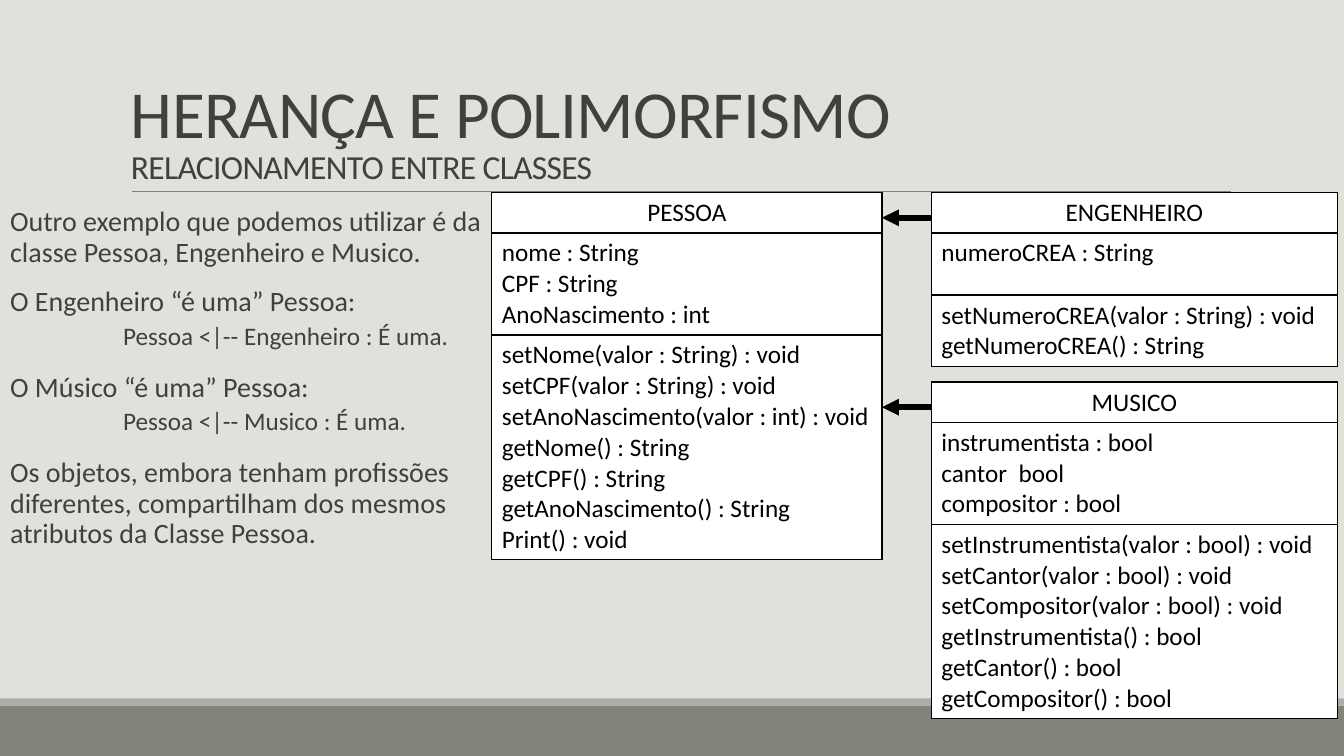
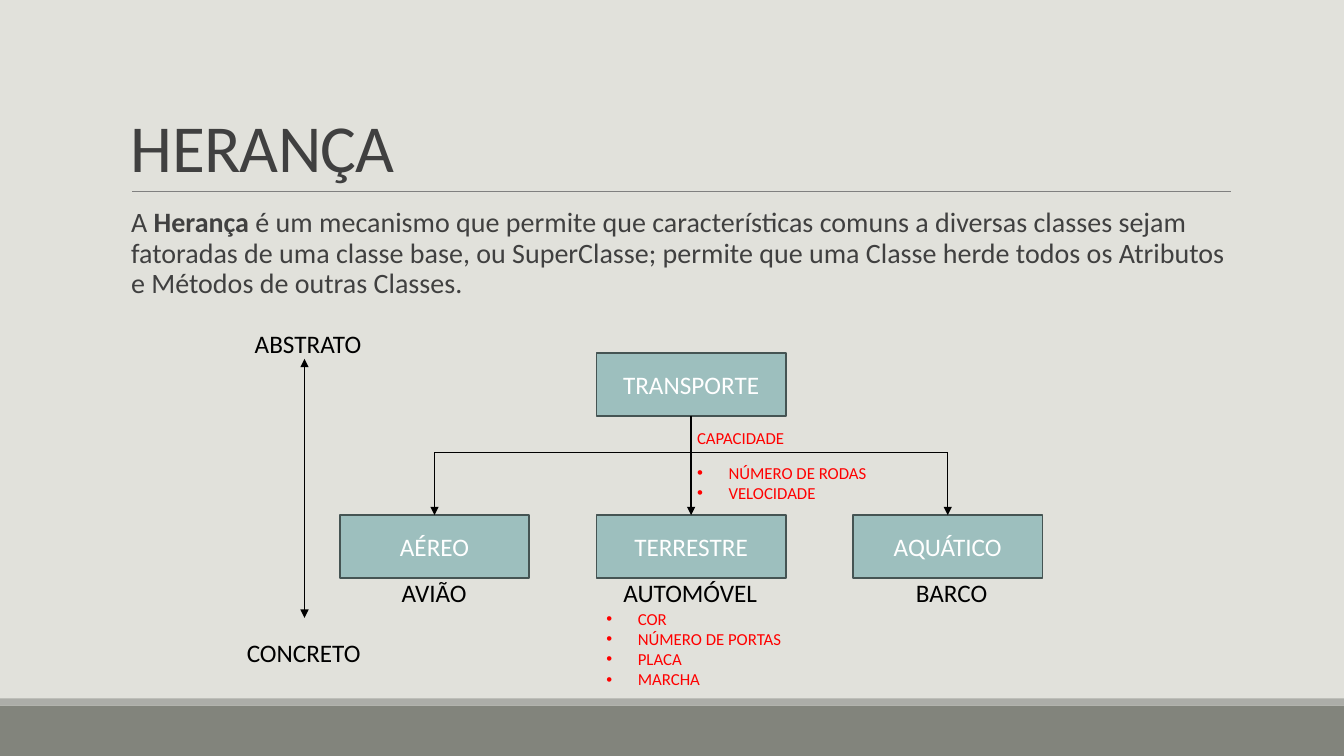
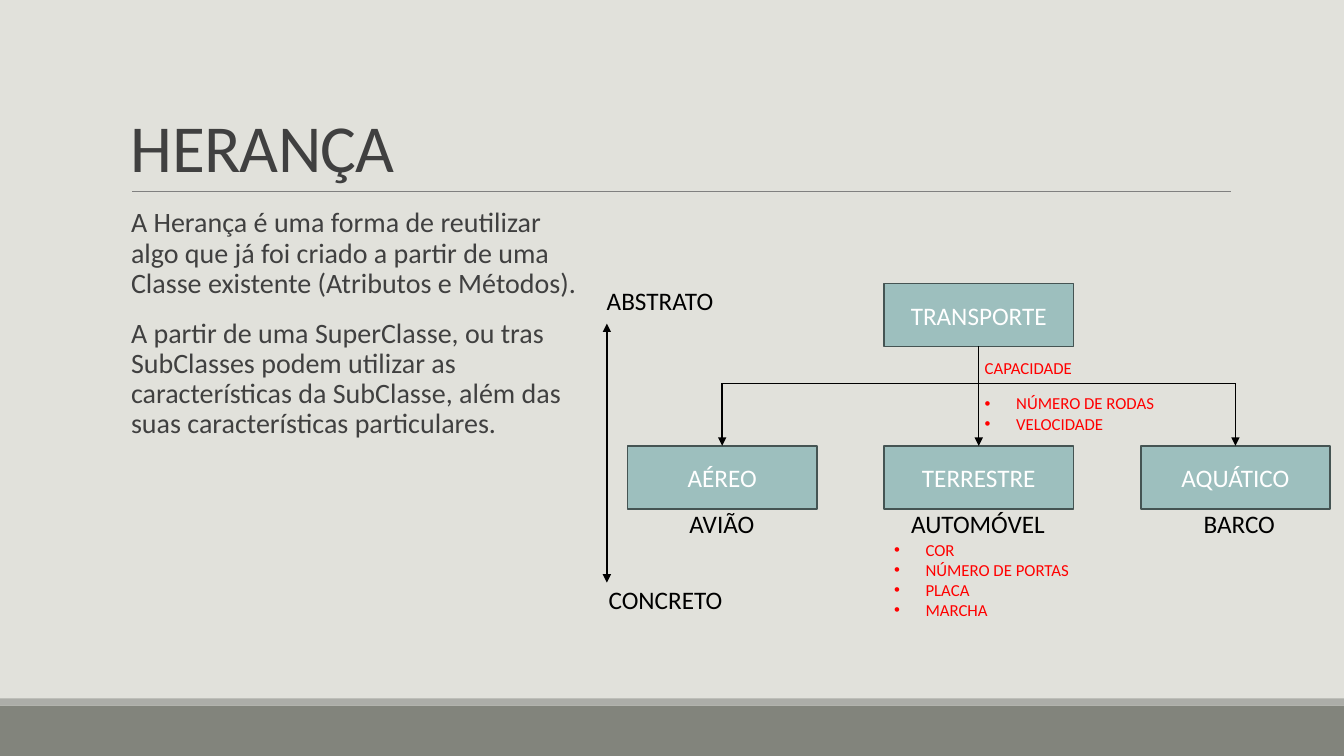
from lxml.etree import SubElement
from pptx import Presentation
from pptx.dml.color import RGBColor
from pptx.enum.shapes import MSO_CONNECTOR, MSO_SHAPE
from pptx.enum.text import MSO_ANCHOR, MSO_AUTO_SIZE, PP_ALIGN
from pptx.oxml.ns import qn
from pptx.util import Inches, Pt

LINE, RECT = MSO_CONNECTOR.STRAIGHT, MSO_SHAPE.RECTANGLE
LEFT, MID = PP_ALIGN.LEFT, PP_ALIGN.CENTER
TOP, CORE, LOW = MSO_ANCHOR.TOP, MSO_ANCHOR.MIDDLE, MSO_ANCHOR.BOTTOM
FIT = MSO_AUTO_SIZE.SHAPE_TO_FIT_TEXT
COLS, ROWS = 64, 36
WIDE, HIGH = Inches(13.333), Inches(7.5)
FONT = "Calibri"
HUES = {
    "page": "E1E1DB", "band": "82847C", "strip": "ACADA8", "rule": "808080",
    "text": "404040", "box": "9DBFBE", "edge": "455453", "ink": "000000",
    "paper": "FFFFFF", "note": "FF0000",
}


def hue(name):
    return RGBColor.from_string(HUES[name])


def across(cols):
    return round(cols * WIDE / COLS)


def down(rows):
    return round(rows * HIGH / ROWS)


def place(*at):
    return [f(n) for f, n in zip((across, down) * 2, at)]


class Deck:
    """Draws class diagrams in one style on a 64 by 36 grid."""

    def __init__(self):
        self.file = Presentation()
        self.file.slide_width, self.file.slide_height = WIDE, HIGH
        fill = self.file.slide_master.background.fill
        fill.solid()
        fill.fore_color.rgb = hue("page")

    def start(self, title, sub=None):
        self.shapes = self.file.slides.add_slide(self.file.slide_layouts[6]).shapes
        self.box(0, 33.6, COLS, 2.4, "band")
        self.box(0, 33.26, COLS, 0.34, "strip")
        self.line(6.29, 9.12, 58.61, 9.12, "rule", 0.5)
        frame = self.frame(5.76, 1.49, 52.8, 7.63, LOW)
        par = self.style(frame.paragraphs[0], 48, "text")
        par.line_spacing = 0.85
        par._p.pPr.find(qn("a:defRPr")).set("spc", "-50")
        par.add_run().text = title
        if sub:
            par.add_line_break()
            run = par.add_run()
            run.text, run.font.size = sub, Pt(24)

    def style(self, par, size, color, align=LEFT):
        par.alignment = align
        font = par.font
        font.name, font.size = FONT, Pt(size)
        font.color.rgb = hue(color)
        return par

    def frame(self, x, y, w, h, anchor=TOP, wrap=True):
        frame = self.shapes.add_textbox(*place(x, y, w, h)).text_frame
        frame.word_wrap, frame.vertical_anchor = wrap, anchor
        return frame

    def fill(self, frame, lines, size, color, align=LEFT, dot=False):
        for i, text in enumerate(lines):
            par = frame.add_paragraph() if i else frame.paragraphs[0]
            par.text = text
            if dot:
                props = par._p.get_or_add_pPr()
                props.set("marL", str(across(1.5)))
                props.set("indent", str(-across(1.5)))
                SubElement(props, qn("a:buFont")).set("typeface", "Arial")
                SubElement(props, qn("a:buChar")).set("char", "•")
            self.style(par, size, color, align)

    def label(self, x, y, w, h, lines, size=18, color="ink", dot=False):
        frame = self.frame(x, y, w, h, wrap=False)
        frame.auto_size = FIT
        self.fill(frame, lines, size, color, dot=dot)

    def body(self, x, y, w, items):
        frame = self.frame(x, y, w, 21.12)
        frame.margin_left = frame.margin_right = 0
        for i, (level, parts) in enumerate(items):
            par = frame.add_paragraph() if i else frame.paragraphs[0]
            size, before, after, pad = ((20, 12, 2, 0.48), (18, 2, 4, 5.86))[level]
            self.style(par, size, "text")
            par.line_spacing = 0.9
            par.space_before, par.space_after = Pt(before), Pt(after)
            par._p.pPr.set("marL", str(across(pad)))
            for j, part in enumerate(parts):
                run = par.add_run()
                run.text = part
                if j % 2:
                    run.font.bold = True

    def box(self, x, y, w, h, color, text=None):
        box = self.shapes.add_shape(RECT, *place(x, y, w, h))
        box.shadow.inherit = False
        box.fill.solid()
        box.fill.fore_color.rgb = hue(color)
        if text is None:
            box.line.fill.background()
        else:
            box.line.color.rgb, box.line.width = hue("edge"), Pt(1.25)
            box.text_frame.vertical_anchor = CORE
            self.fill(box.text_frame, [text], 18, "paper", MID)
        return box

    def line(self, x1, y1, x2, y2, color="ink", width=1, ends=()):
        line = self.shapes.add_connector(LINE, *place(x1, y1, x2, y2))
        line.line.color.rgb, line.line.width = hue(color), Pt(width)
        for end in ends:
            SubElement(line.line._get_or_add_ln(), qn("a:" + end)).set("type", "triangle")
        SubElement(line._element.spPr, qn("a:effectLst"))
        return line

    def table(self, x, y, w, name, fields, calls):
        parts = [name], fields, calls
        highs = [1.92] + [max(2.96, 0.48 + 1.46 * len(p)) for p in parts[1:]]
        table = self.shapes.add_table(3, 1, *place(x, y, w, sum(highs))).table
        table.first_row = table.horz_banding = False
        for i, (lines, high) in enumerate(zip(parts, highs)):
            table.rows[i].height = down(high)
            cell = table.cell(i, 0)
            props = cell._tc.get_or_add_tcPr()
            for side in "LRTB":
                edge = SubElement(props, qn("a:ln" + side), w=str(Pt(1)))
                paint = SubElement(edge, qn("a:solidFill"))
                SubElement(paint, qn("a:srgbClr"), val=HUES["ink"])
            cell.fill.solid()
            cell.fill.fore_color.rgb = hue("paper")
            self.fill(cell.text_frame, lines, 18, "ink", LEFT if i else MID)

    def tree(self, x, y):
        wide, high, step, drop, bus = 9.02, 3, 12.22, 7.73, 4.75
        mid = x + wide / 2
        root = self.box(x, y, wide, high, "box", "TRANSPORTE")
        kids = (("AÉREO", "AVIÃO", 4.08, 0),
                ("TERRESTRE", "AUTOMÓVEL", 7.39, 0),
                ("AQUÁTICO", "BARCO", 4.42, 0.22))
        for i, (name, case, span, shift) in enumerate(kids, -1):
            spot = mid + i * step
            kid = self.box(x + i * step, y + drop, wide, high, "box", name)
            arrow = self.line(spot, y + bus, spot, y + drop, ends=["tailEnd"])
            arrow.end_connect(kid, 0)
            if i == 0:
                arrow.begin_connect(root, 2)
            self.label(spot - span / 2 + shift, y + 10.46, span, 1.92, [case])
        self.line(mid - step, y + bus, mid + step, y + bus)
        self.label(x + 4.32, y + 3.31, 5.18, 1.44, ["CAPACIDADE"], 12, "note")
        self.label(x + 4.32, y + 4.99, 9.12, 2.4,
                   ["NÚMERO DE RODAS", "VELOCIDADE"], 12, "note", True)
        self.label(x, y + 11.95, 9.41, 4.37,
                   ["COR", "NÚMERO DE PORTAS", "PLACA", "MARCHA"], 12, "note", True)

    def axis(self, x, y, first, last):
        self.line(x, y, x, y + 12.33, ends=["headEnd", "tailEnd"])
        self.label(*first, 6.1, 1.92, ["ABSTRATO"])
        self.label(*last, 6.43, 1.92, ["CONCRETO"])


def main():
    deck = Deck()

    deck.start("HERANÇA E POLIMORFISMO", "RELACIONAMENTO ENTRE CLASSES")
    deck.body(0, 9.65, 23.76, [
        (0, ["Outro exemplo que podemos utilizar é da classe Pessoa, Engenheiro e Musico."]),
        (0, ["O Engenheiro “é uma” Pessoa:"]),
        (1, ["Pessoa <|-- Engenheiro : É uma."]),
        (0, ["O Músico “é uma” Pessoa:"]),
        (1, ["Pessoa <|-- Musico : É uma."]),
        (0, ["Os objetos, embora tenham profissões diferentes, compartilham dos "
             "mesmos atributos da Classe Pessoa."]),
    ])
    deck.table(23.42, 9.17, 18.58, "PESSOA",
               ["nome : String", "CPF : String", "AnoNascimento : int"],
               ["setNome(valor : String) : void", "setCPF(valor : String) : void",
                "setAnoNascimento(valor : int) : void", "getNome() : String",
                "getCPF() : String", "getAnoNascimento() : String", "Print() : void"])
    heirs = (
        (9.17, "ENGENHEIRO", ["numeroCREA : String"],
         ["setNumeroCREA(valor : String) : void", "getNumeroCREA() : String"]),
        (18.19, "MUSICO",
         ["instrumentista : bool", "cantor  bool", "compositor : bool"],
         ["setInstrumentista(valor : bool) : void", "setCantor(valor : bool) : void",
          "setCompositor(valor : bool) : void", "getInstrumentista() : bool",
          "getCantor() : bool", "getCompositor() : bool"]),
    )
    for y, *parts in heirs:
        deck.table(44.35, y, 19.34, *parts)
        deck.line(44.35, y + 1.2, 42, y + 1.2, width=4, ends=["tailEnd"])

    deck.start("HERANÇA")
    deck.body(5.76, 9.7, 52.8, [
        (0, ["A ", "Herança",
             " é um mecanismo que permite que características comuns a diversas classes "
             "sejam fatoradas de uma classe base, ou SuperClasse; permite que uma Classe "
             "herde todos os Atributos e Métodos de outras Classes."]),
    ])
    deck.tree(28.4, 16.8)
    deck.axis(14.5, 17.09, (11.66, 15.41), (11.28, 30.1))

    deck.start("HERANÇA")
    deck.body(5.76, 9.7, 22.22, [
        (0, ["A Herança é uma forma de reutilizar algo que já foi criado a partir de "
             "uma Classe existente (Atributos e Métodos)."]),
        (0, ["A partir de uma SuperClasse, ou tras SubClasses podem utilizar as "
             "características da SubClasse, além das suas características particulares."]),
    ])
    deck.tree(42.1, 13.5)
    deck.axis(28.9, 15.41, (28.42, 13.34), (28.51, 27.6))

    deck.file.save("out.pptx")


if __name__ == "__main__":
    main()
